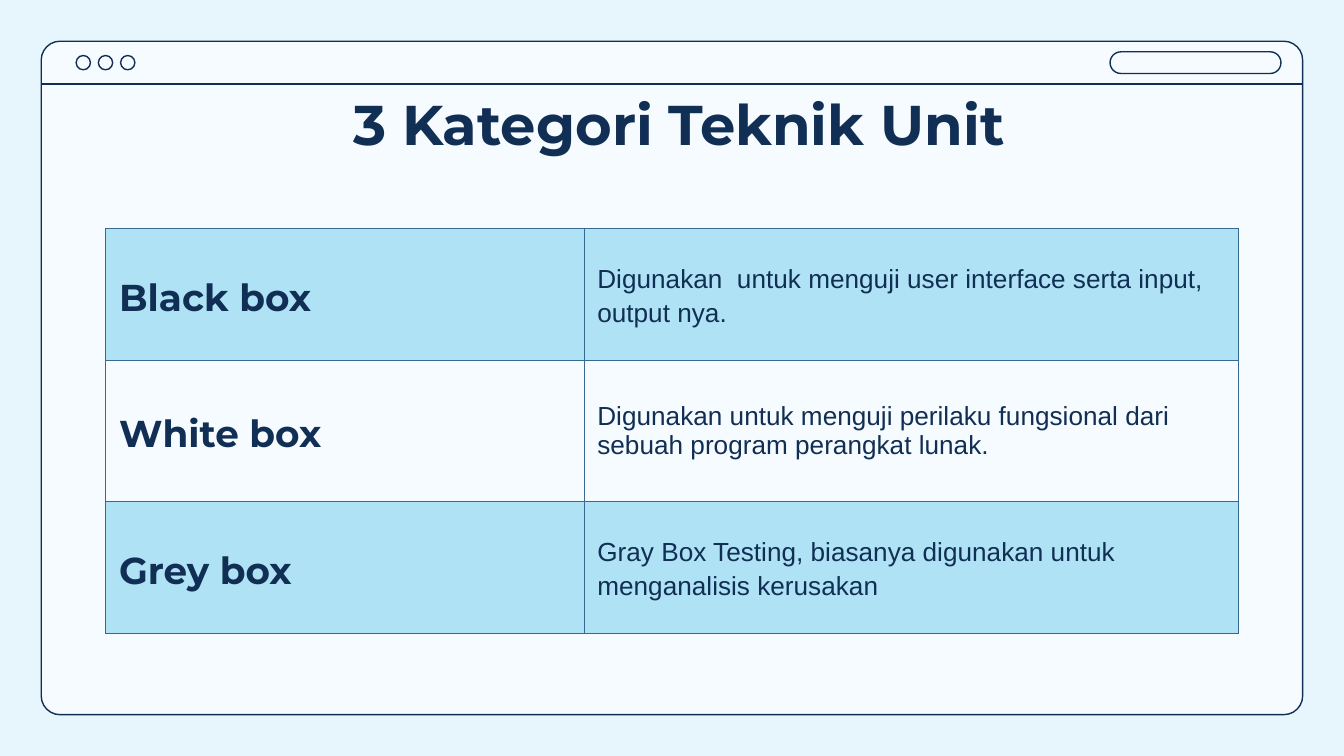
from lxml.etree import SubElement
from pptx import Presentation
from pptx.dml.color import RGBColor
from pptx.enum.shapes import MSO_CONNECTOR, MSO_SHAPE
from pptx.enum.text import MSO_ANCHOR, PP_ALIGN
from pptx.oxml.ns import qn
from pptx.util import Cm, Pt

NAVY = RGBColor(0x11, 0x2E, 0x54)
SKY = RGBColor(0xAE, 0xE2, 0xF4)
PAPER = RGBColor(0xF5, 0xFB, 0xFF)
BACKDROP = RGBColor(0xE6, 0xF6, 0xFC)
BORDER = RGBColor(0x35, 0x6B, 0x90)
INSET = Cm(0.25)

CATEGORIES = [
    ("Black box", "Digunakan  untuk menguji user interface serta input, output nya.", 1.15, 2.49),
    ("White box", "Digunakan untuk menguji perilaku fungsional dari sebuah program perangkat lunak.", 1.0, 2.67),
    ("Grey box", "Gray Box Testing, biasanya digunakan untuk menganalisis kerusakan", 1.15, 2.49),
]


def style_text(p, text, font, size, bold):
    p.text = text
    p.font.name = font
    p.font.size = Pt(size)
    p.font.bold = bold
    p.font.color.rgb = NAVY


def add_outline(s, kind, x, y, w, h, fill=None, radius=None):
    sp = s.shapes.add_shape(kind, x, y, w, h)
    sp.shadow.inherit = False
    if radius is not None:
        sp.adjustments[0] = radius
    if fill is None:
        sp.fill.background()
    else:
        sp.fill.solid()
        sp.fill.fore_color.rgb = fill
    sp.line.color.rgb = NAVY
    sp.line.width = Pt(0.75)


def add_window(s, x, y, w, h):
    bar, dot, pitch = Cm(0.81), Cm(0.27), Cm(0.42)
    pill_w, pill_h = Cm(3.23), Cm(0.41)
    add_outline(s, MSO_SHAPE.ROUNDED_RECTANGLE, x, y, w, h, PAPER, 0.028)
    for i in range(3):
        add_outline(s, MSO_SHAPE.OVAL, x + Cm(0.66) + i * pitch,
                    y + (bar - dot) // 2, dot, dot)
    add_outline(s, MSO_SHAPE.ROUNDED_RECTANGLE, x + w - Cm(0.41) - pill_w,
                y + (bar - pill_h) // 2, pill_w, pill_h, radius=0.5)
    line = s.shapes.add_connector(MSO_CONNECTOR.STRAIGHT, x, y + bar, x + w, y + bar)
    line.line.color.rgb = NAVY
    line.line.width = Pt(0.75)
    SubElement(line._element.spPr, qn("a:effectLst"))


def add_title(s, x, y, w, h):
    tf = s.shapes.add_textbox(x, y, w, h).text_frame
    tf.word_wrap = True
    tf.margin_left = Cm(0.52)
    tf.margin_right = tf.margin_top = tf.margin_bottom = INSET
    p = tf.paragraphs[0]
    p.alignment = PP_ALIGN.CENTER
    style_text(p, "3 Kategori Teknik Unit", "Montserrat", 30, True)


def add_borders(cell):
    tc_pr = cell._tc.get_or_add_tcPr()
    for side in ("lnL", "lnR", "lnT", "lnB"):
        ln = SubElement(tc_pr, qn(f"a:{side}"), w=str(Pt(0.75)))
        fill = SubElement(ln, qn("a:solidFill"))
        SubElement(fill, qn("a:srgbClr"), val=str(BORDER))


def add_categories(s, x, y, w, h):
    table = s.shapes.add_table(len(CATEGORIES), 2, x, y, w, h).table
    table.first_row = table.horz_banding = False
    table.columns[0].width = Cm(9.04)
    table.columns[1].width = w - Cm(9.04)
    for i, (name, use, spacing, height) in enumerate(CATEGORIES):
        table.rows[i].height = Cm(height)
        name_cell, use_cell = table.cell(i, 0), table.cell(i, 1)
        for cell in (name_cell, use_cell):
            add_borders(cell)
            if i % 2:
                cell.fill.background()
            else:
                cell.fill.solid()
                cell.fill.fore_color.rgb = SKY
            cell.vertical_anchor = MSO_ANCHOR.MIDDLE
            cell.margin_left = cell.margin_right = INSET
            cell.margin_top = cell.margin_bottom = INSET
        p = name_cell.text_frame.paragraphs[0]
        p.line_spacing = 1.15
        style_text(p, name, "Montserrat", 20, True)
        p = use_cell.text_frame.paragraphs[0]
        p.line_spacing = spacing
        style_text(p, use, "Arial", 14, False)


def main():
    prs = Presentation()
    prs.slide_width, prs.slide_height = Cm(25.4), Cm(14.29)
    s = prs.slides.add_slide(prs.slide_layouts[6])
    s.background.fill.solid()
    s.background.fill.fore_color.rgb = BACKDROP
    add_window(s, Cm(0.78), Cm(0.78), Cm(23.84), Cm(12.73))
    add_title(s, Cm(2), Cm(1.45), Cm(21.4), Cm(1.6))
    add_categories(s, Cm(2), Cm(4.32), Cm(21.4), Cm(7.65))
    prs.save("out.pptx")


if __name__ == "__main__":
    main()
